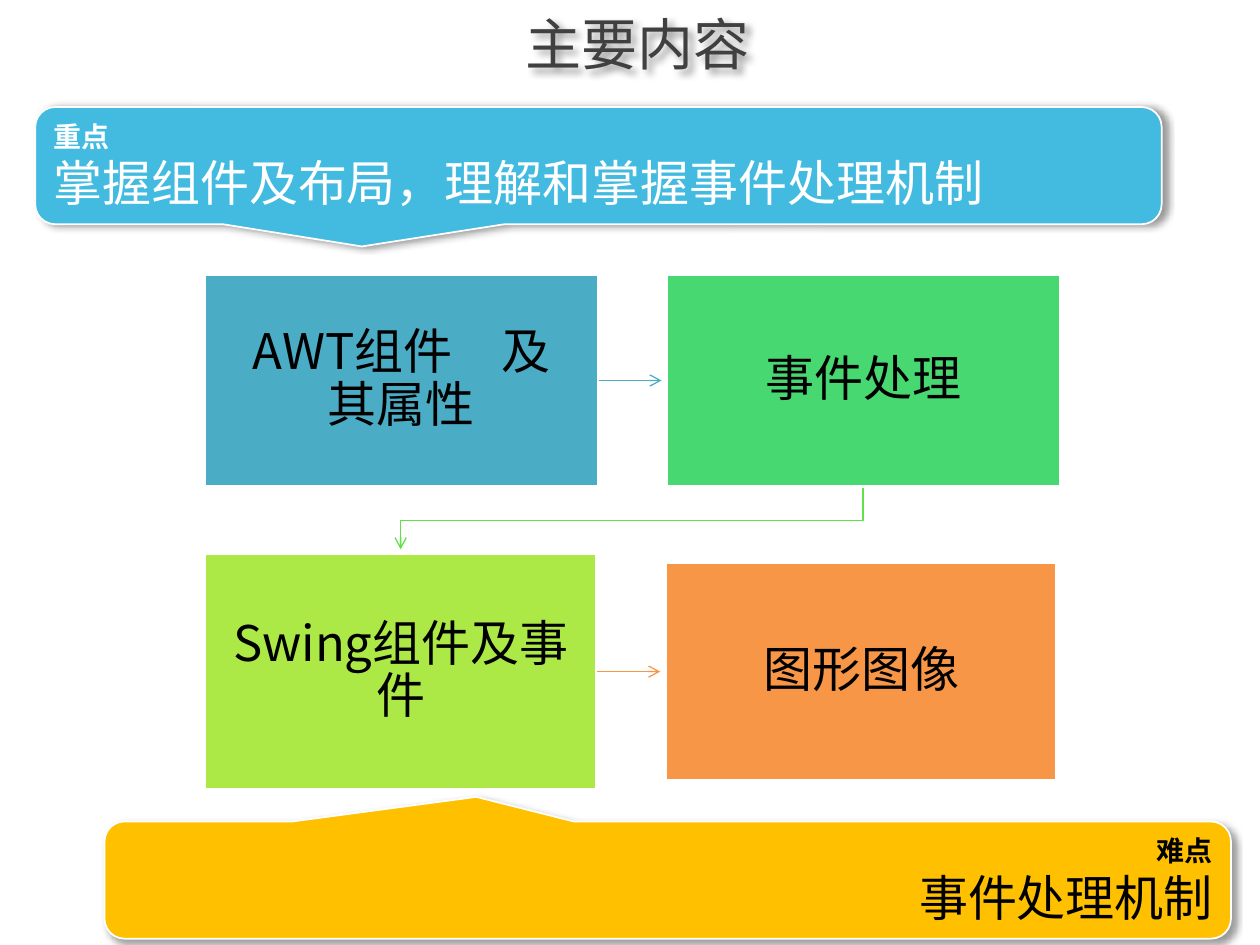
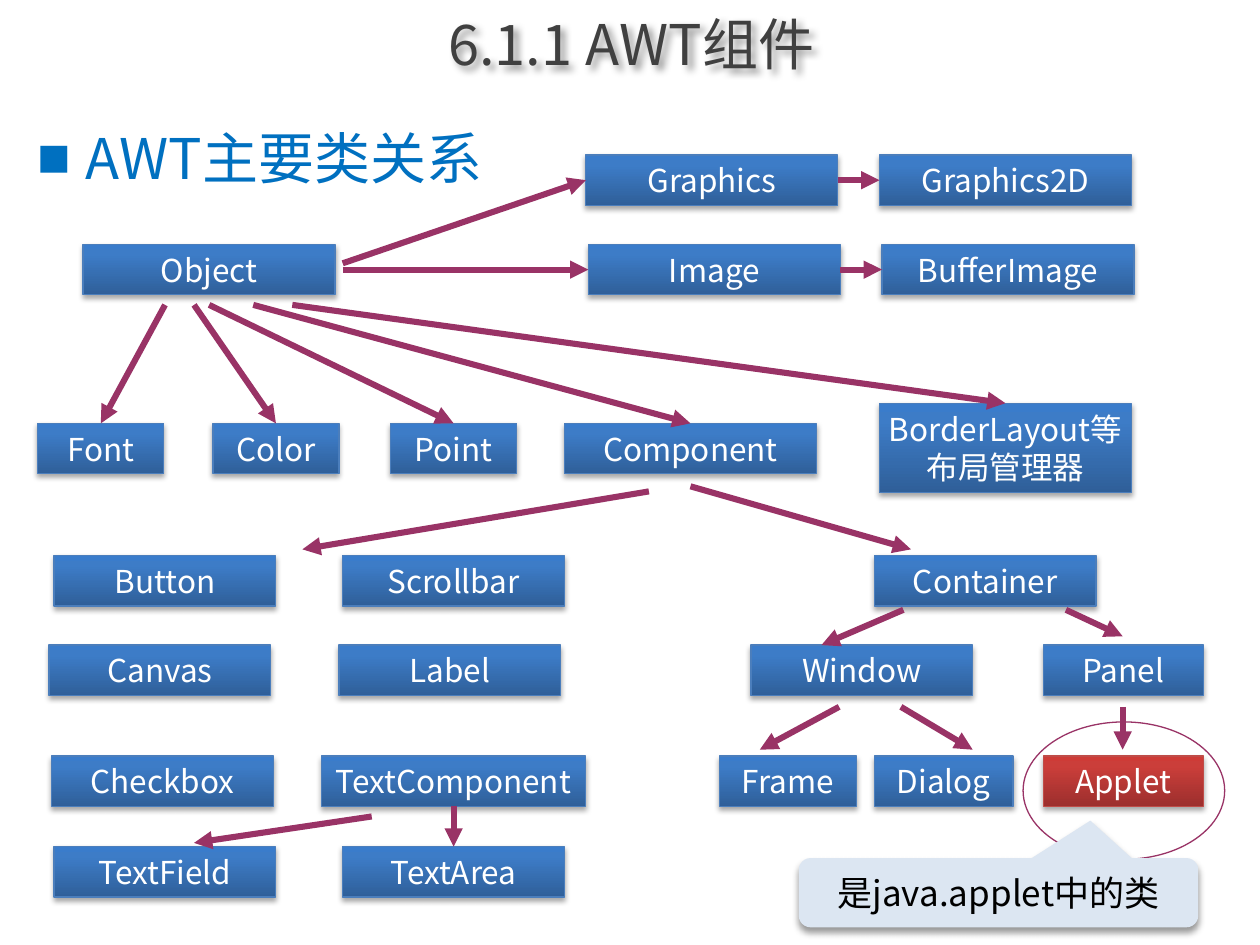
from lxml import etree
from pptx import Presentation
from pptx.dml.color import RGBColor
from pptx.enum.shapes import MSO_CONNECTOR, MSO_SHAPE
from pptx.enum.text import MSO_ANCHOR, PP_ALIGN
from pptx.oxml.ns import qn
from pptx.util import Pt

SCALE = 9144
RECT = MSO_SHAPE.RECTANGLE
OVAL = MSO_SHAPE.OVAL
BUBBLE = MSO_SHAPE.ROUNDED_RECTANGULAR_CALLOUT
STRAIGHT = MSO_CONNECTOR.STRAIGHT
MIDDLE, TOP = MSO_ANCHOR.MIDDLE, MSO_ANCHOR.TOP
LEFT, CENTER, RIGHT = PP_ALIGN.LEFT, PP_ALIGN.CENTER, PP_ALIGN.RIGHT
UP, WEST, DOWN, EAST = range(4)

FONT = "Noto Sans CJK SC"
WHITE, BLACK, GRAY, SKY = "FFFFFF", "000000", "404040", "0070C0"
PLUM = "993366"
BLUE = ("2F5F99", "3D7CC7", "3A7CCB", "4B7EBC")
RED = ("9C2F2D", "CB3E3A", "CE3B37", "BF4C48")
STOPS = (0, 80, 100)


def px(value):
    return value * SCALE


def color(code):
    return RGBColor.from_string(code)


def apply(target, values):
    for key, value in values.items():
        setattr(target, key, value)


def node(parent, tag, **values):
    return etree.SubElement(parent, qn(tag), {k: str(v) for k, v in values.items()})


def tint(parent, code, alpha=None):
    item = node(parent, "a:srgbClr", val=code)
    if alpha:
        node(item, "a:alpha", val=alpha * 1000)


class Deck:
    def __init__(self):
        self.deck = Presentation()
        apply(self.deck, {"slide_width": px(1000), "slide_height": px(750)})

    def page(self, title):
        self.slide = self.deck.slides.add_slide(self.deck.slide_layouts[6])
        self.shapes = self.slide.shapes
        self.boxes = {}
        head = self.label((72, 0, 868, 68), [(title, 32, False)], GRAY, CENTER, MIDDLE)
        self.shade(head, 40, 4, 3, 45)

    def letter(self, shape, lines, code, align=CENTER, anchor=MIDDLE, inset=(10, 5), **form):
        side, edge = map(px, inset)
        frame = shape.text_frame
        apply(frame, {"word_wrap": True, "vertical_anchor": anchor,
                      "margin_left": side, "margin_right": side,
                      "margin_top": edge, "margin_bottom": edge})
        for spot, (text, size, bold) in enumerate(lines):
            para = frame.add_paragraph() if spot else frame.paragraphs[0]
            apply(para, {"alignment": align, **form})
            run = para.add_run()
            run.text = text
            apply(run.font, {"size": Pt(size), "bold": bold, "name": FONT})
            run.font.color.rgb = color(code)
            node(run.font._element, "a:ea", typeface=FONT)

    def label(self, area, lines, code, align, anchor, **form):
        shape = self.shapes.add_textbox(*map(px, area))
        self.letter(shape, lines, code, align, anchor, **form)
        return shape

    def bullet(self, area, text):
        shape = self.label(area, [(text, 32, False)], SKY, LEFT, TOP, line_spacing=0.9)
        props = shape.text_frame.paragraphs[0]._p.get_or_add_pPr()
        props.set("marL", str(px(38)))
        props.set("indent", str(px(-38)))
        node(props, "a:buSzPct", val=60000)
        node(props, "a:buFont", typeface=FONT)
        node(props, "a:buChar", char="■")

    def shade(self, shape, alpha, blur, dist, angle):
        shape.shadow.inherit = False
        glow = node(shape._element.spPr.find(qn("a:effectLst")), "a:outerShdw",
                    blurRad=Pt(blur), dist=Pt(dist), dir=angle * 60000,
                    algn="tl", rotWithShape=0)
        tint(glow, BLACK, alpha)

    def paint(self, shape, fill=None, line=None, width=0.75):
        shape.shadow.inherit = False
        if fill:
            shape.fill.solid()
            shape.fill.fore_color.rgb = color(fill)
        else:
            shape.fill.background()
        if line:
            shape.line.color.rgb = color(line)
            shape.line.width = Pt(width)
        else:
            shape.line.fill.background()

    def shape(self, kind, area, fill=None, line=None, width=0.75):
        shape = self.shapes.add_shape(kind, *map(px, area))
        self.paint(shape, fill, line, width)
        return shape

    def block(self, area, text, fill):
        shape = self.shape(RECT, area, fill, WHITE, 2)
        self.letter(shape, [(text, 28, False)], BLACK, inset=(22, 22), line_spacing=0.9)
        self.boxes[text] = shape

    def box(self, area, text, tones=BLUE):
        shape = self.shape(RECT, area, line=tones[3])
        shape.fill.gradient()
        shape.fill.gradient_angle = 90
        stops = shape._element.spPr.find(qn("a:gradFill")).find(qn("a:gsLst"))
        stops.clear()
        for stop, tone in zip(STOPS, tones):
            tint(node(stops, "a:gs", pos=stop * 1000), tone)
        self.shade(shape, 35, 3.1, 1.8, 90)
        self.letter(shape, [(text, 18, False)], WHITE, inset=(0, 5))
        self.boxes[text] = shape

    def bubble(self, area, tip, lines, fill, code, angle, align=CENTER, line=None):
        shape = self.shape(BUBBLE, area, fill, line, 1)
        for spot, value in enumerate((*tip, 0.17)):
            shape.adjustments[spot] = value
        self.shade(shape, 40, 4, 3, angle)
        self.letter(shape, lines, code, align)

    def arrow(self, shape, kind):
        node(shape.line._get_or_add_ln(), "a:tailEnd", type=kind)

    def wire(self, start, end, code=PLUM, width=3.5, kind="triangle"):
        spots = [(0, 0) if isinstance(spot[0], str) else spot for spot in (start, end)]
        wire = self.shapes.add_connector(STRAIGHT, *(px(v) for spot in spots for v in spot))
        for spot, join in ((start, wire.begin_connect), (end, wire.end_connect)):
            if isinstance(spot[0], str):
                join(self.boxes[spot[0]], spot[1])
        wire.line.color.rgb = color(code)
        wire.line.width = Pt(width)
        self.arrow(wire, kind)
        node(wire._element.spPr, "a:effectLst")

    def bend(self, points, code):
        trace = self.shapes.build_freeform(*points[0], scale=SCALE)
        trace.add_line_segments(points[1:], close=False)
        shape = trace.convert_to_shape()
        self.paint(shape, line=code)
        self.arrow(shape, "arrow")


def outline(deck):
    deck.page("主要内容")
    deck.bend([(685, 386), (685, 413), (318, 413), (318, 436)], "60E146")
    awt, swing = "AWT组件　及其属性", "Swing组件及事件"
    for area, text, fill in (
            ((162, 218, 313, 168), awt, "4BACC6"),
            ((529, 218, 313, 168), "事件处理", "47D872"),
            ((162, 439, 312, 188), swing, "ACE946"),
            ((528, 446, 311, 174), "图形图像", "F79646")):
        deck.block(area, text, fill)
    deck.wire((awt, EAST), (525, 302), "4BACC6", 0.75, "arrow")
    deck.wire((swing, EAST), (524, 533), "F79646", 0.75, "arrow")
    for area, tip, head, text, fill, code, angle, align in (
            ((28, 85, 894, 93), (-0.21, 0.69), "重点",
             "掌握组件及布局，理解和掌握事件处理机制", "43BBE1", WHITE, 0, LEFT),
            ((83, 652, 894, 93), (-0.17, -0.71), "难点",
             "事件处理机制", "FFC000", BLACK, 45, RIGHT)):
        deck.bubble(area, tip, [(head, 16, True), (text, 28, False)],
                    fill, code, angle, align, WHITE)


def classes(deck):
    deck.page("6.1.1 AWT组件 ")
    deck.bullet((20, 99, 961, 638), "AWT主要类关系")
    rows = {
        123: (("Graphics", 465, 200), ("Graphics2D", 698, 200)),
        194: (("Object", 66, 200), ("Image", 467, 200), ("BufferImage", 700, 200)),
        336: (("Font", 30, 100), ("Color", 169, 100), ("Point", 310, 100),
              ("Component", 448, 200)),
        441: (("Button", 43, 176), ("Scrollbar", 272, 176), ("Container", 694, 176)),
        512: (("Canvas", 39, 176), ("Label", 269, 176), ("Window", 596, 176),
              ("Panel", 828, 127)),
        600: (("Checkbox", 41, 176), ("TextComponent", 255, 210),
              ("Frame", 571, 109), ("Dialog", 694, 110)),
        672: (("TextField", 43, 176), ("TextArea", 272, 176)),
    }
    for top, row in rows.items():
        for text, left, width in row:
            deck.box((left, top, width, 40), text)
    layout = "BorderLayout等布局管理器"
    deck.box((698, 320, 200, 71), layout)
    deck.box((828, 600, 127, 40), "Applet", RED)
    for start, end in (
            (("Graphics", EAST), ("Graphics2D", WEST)),
            (("Image", EAST), ("BufferImage", WEST)),
            ((272, 209), ("Graphics", WEST)),
            ((272, 214), ("Image", WEST)),
            ((232, 242), (layout, UP)),
            ((201, 242), ("Component", UP)),
            ((166, 242), ("Point", UP)),
            ((154, 242), ("Color", UP)),
            ((131, 242), ("Font", UP)),
            ((515, 390), (240, 436)),
            ((548, 386), (723, 436)),
            ((717, 484), (652, 512)),
            ((846, 484), (891, 505)),
            ((666, 561), (603, 595)),
            ((715, 561), (772, 595)),
            ((891, 561), (891, 595)),
            ((295, 648), (154, 669)),
            (("TextComponent", DOWN), ("TextArea", UP))):
        deck.wire(start, end)
    deck.shape(OVAL, (812, 573, 160, 109), line=PLUM)
    deck.bubble((634, 681, 317, 55), (0.23, -1.04),
                [("是java.applet中的类", 20, False)], "DCE6F2", BLACK, 90)


def main():
    deck = Deck()
    outline(deck)
    classes(deck)
    deck.deck.save("out.pptx")


if __name__ == "__main__":
    main()
